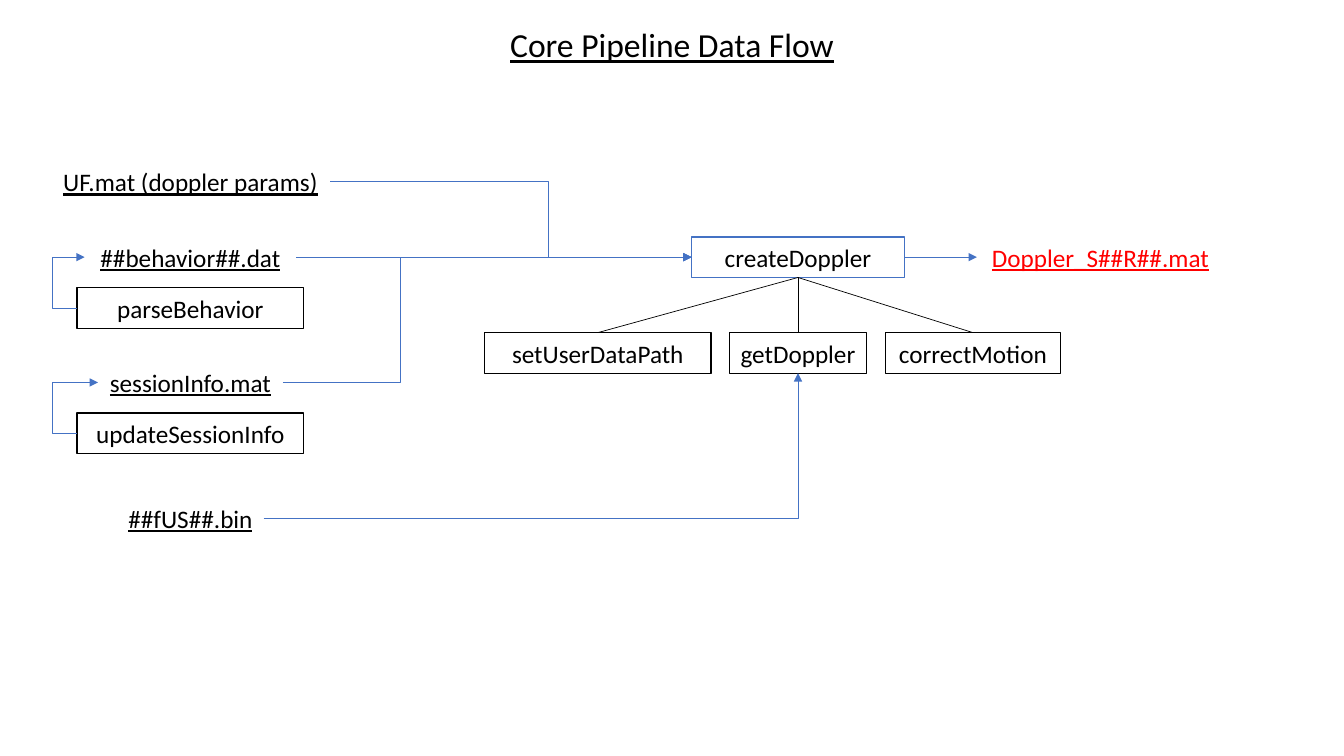
from dataclasses import dataclass

from lxml.etree import SubElement
from pptx import Presentation
from pptx.dml.color import RGBColor
from pptx.enum.shapes import MSO_CONNECTOR, MSO_SHAPE
from pptx.enum.text import MSO_ANCHOR, PP_ALIGN
from pptx.oxml.ns import qn
from pptx.util import Pt


@dataclass(frozen=True)
class Theme:
    font: str = "Calibri"
    title_size: int = 24
    label_size: int = 18
    black: RGBColor = RGBColor(0x00, 0x00, 0x00)
    white: RGBColor = RGBColor(0xFF, 0xFF, 0xFF)
    blue: RGBColor = RGBColor(0x44, 0x72, 0xC4)
    red: RGBColor = RGBColor(0xFF, 0x00, 0x00)


theme = Theme()
LABEL_HEIGHT = 29
TOP, LEFT, BOTTOM, RIGHT = range(4)

presentation = Presentation()
presentation.slide_width, presentation.slide_height = Pt(960), Pt(540)
slide = presentation.slides.add_slide(presentation.slide_layouts[6])


def add_label(text, *, center, top, width, height=LABEL_HEIGHT, size=theme.label_size,
              color=theme.black, outline=None, underline=False, filled=True):
    """Add centred text in a rectangle, or in a plain text box if not filled."""
    bounds = Pt(center - width / 2), Pt(top), Pt(width), Pt(height)
    if filled:
        shape = slide.shapes.add_shape(MSO_SHAPE.RECTANGLE, *bounds)
        shape.shadow.inherit = False
        shape.fill.solid()
        shape.fill.fore_color.rgb = theme.white
        if outline is None:
            shape.line.fill.background()
        else:
            shape.line.color.rgb = outline
            shape.line.width = Pt(1)
    else:
        shape = slide.shapes.add_textbox(*bounds)
    frame = shape.text_frame
    frame.word_wrap = not filled
    frame.vertical_anchor = MSO_ANCHOR.MIDDLE
    paragraph = frame.paragraphs[0]
    paragraph.alignment = PP_ALIGN.CENTER
    run = paragraph.add_run()
    run.text = text
    run.font.name = theme.font
    run.font.size = Pt(size)
    run.font.color.rgb = color
    run.font.underline = underline
    return shape


def join(start, start_side, end, end_side, color=theme.blue, arrow=True, bend=None, corner=False):
    """Connect two shapes; bend is the x of a vertical middle part, corner makes one turn."""
    elbow = corner or bend is not None
    kind = MSO_CONNECTOR.ELBOW if elbow else MSO_CONNECTOR.STRAIGHT
    connector = slide.shapes.add_connector(kind, 0, 0, 0, 0)
    connector.begin_connect(start, start_side)
    connector.end_connect(end, end_side)
    connector.line.color.rgb = color
    connector.line.width = Pt(0.5)
    properties = connector._element.spPr
    SubElement(properties, qn("a:effectLst"))
    geometry = properties.find(qn("a:prstGeom"))
    if corner:
        geometry.set("prst", "bentConnector2")
    if bend is not None:
        share = (Pt(bend) - connector.begin_x) / (connector.end_x - connector.begin_x)
        SubElement(geometry.find(qn("a:avLst")), qn("a:gd"),
                   name="adj1", fmla=f"val {round(share * 100000)}")
    if arrow:
        SubElement(properties.find(qn("a:ln")), qn("a:tailEnd"), type="triangle")


add_label("Core Pipeline Data Flow", center=480, top=13.7, width=594, height=36,
          size=theme.title_size, underline=True, filled=False)

# Input files and the functions that write them
input_center = 136
main_top = 169.2
input_rows = [
    ("UF.mat (doppler params)", 115.2, 199.5),
    ("##behavior##.dat", main_top, 151),
    ("sessionInfo.mat", 258.7, 132),
    ("##fUS##.bin", 355.7, 104.5),
]
doppler_params, behavior, session_info, raw_data = [
    add_label(text, center=input_center, top=top, width=width, underline=True)
    for text, top, width in input_rows
]
for text, top, target in [("parseBehavior", 205.5, behavior),
                          ("updateSessionInfo", 295, session_info)]:
    writer = add_label(text, center=input_center, top=top, width=162, outline=theme.black)
    join(writer, LEFT, target, LEFT, bend=37.5)

# Main function and its output
create_doppler = add_label("createDoppler", center=570, top=main_top, width=152,
                           outline=theme.blue)
output = add_label("Doppler_S##R##.mat", center=786, top=main_top, width=176.5,
                   color=theme.red, underline=True)
join(create_doppler, RIGHT, output, LEFT)
for source, bend in [(doppler_params, 391.7), (behavior, None), (session_info, 286)]:
    join(source, RIGHT, create_doppler, LEFT, bend=bend)

# Functions called by the main function
helpers = {}
for text, center, width in [("setUserDataPath", 427, 162), ("getDoppler", 570, 98),
                            ("correctMotion", 695, 125)]:
    helpers[text] = add_label(text, center=center, top=237.6, width=width, outline=theme.black)
    join(helpers[text], TOP, create_doppler, BOTTOM, color=theme.black, arrow=False)
join(raw_data, RIGHT, helpers["getDoppler"], BOTTOM, corner=True)

presentation.save("out.pptx")
